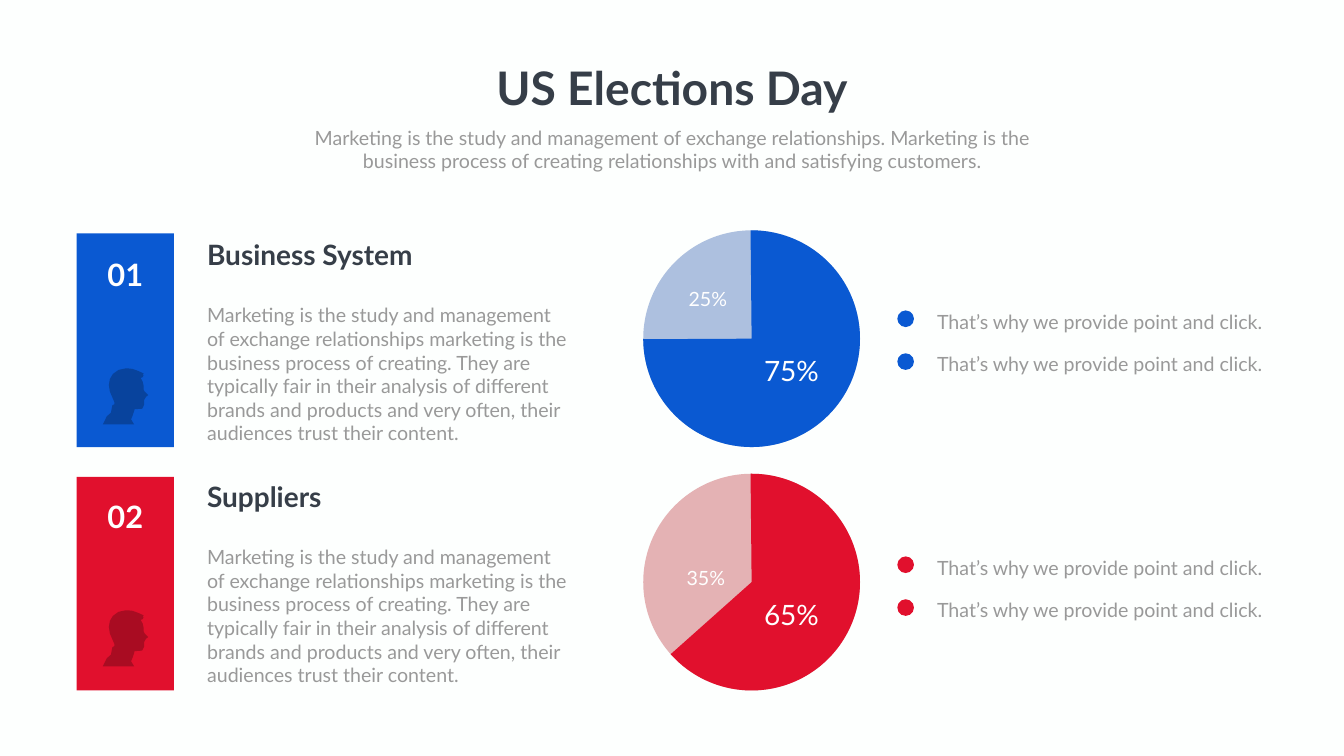
import pptx
import pptx.dml.color
import pptx.enum.shapes
import pptx.enum.text
import pptx.util
from pptx.util import Inches

FONT = "Lato"
DARK, GREY, WHITE = "363E48", "999999", "FFFFFF"
BODY = (
    "Marketing is the study and management of exchange relationships marketing is the "
    "business process of creating. They are typically fair in their analysis of different "
    "brands and products and very often, their audiences trust their content."
)
SUBTITLE = (
    "Marketing is the study and management of exchange relationships. Marketing is the "
    "business process of creating relationships with and satisfying customers."
)
LEGEND = "That’s why we provide point and click."
HEAD_OUTLINE = [
    (0.45, 0), (0.5, 0), (0.59, 0.01), (0.7, 0.05), (0.81, 0.1), (0.8, 0.12),
    (0.79, 0.13), (0.82, 0.15), (0.79, 0.14), (0.8, 0.17), (0.75, 0.19),
    (0.79, 0.26), (0.81, 0.35), (0.81, 0.42), (0.83, 0.46), (0.9, 0.53),
    (0.86, 0.56), (0.84, 0.59), (0.82, 0.63), (0.82, 0.68), (0.82, 0.72),
    (0.78, 0.8), (0.63, 0.81), (0.62, 0.85), (0.59, 0.94), (0.56, 1.01),
    (0.62, 1.11), (0, 1.11), (0.08, 0.95), (0.16, 0.88), (0.19, 0.73),
    (0.23, 0.71), (0.23, 0.67), (0.14, 0.46), (0.12, 0.33), (0.14, 0.21),
    (0.2, 0.11), (0.31, 0.03),
]
SECTIONS = [
    {"number": "01", "heading": "Business System", "color": "0A59D2", "pale": "ADC0DF",
     "shade": "08439D", "major": "75%", "minor": "25%", "end_angle": 179.7,
     "minor_at": (13.37, 5.52)},
    {"number": "02", "heading": "Suppliers", "color": "E1102D", "pale": "E4B2B4",
     "shade": "A90C22", "major": "65%", "minor": "35%", "end_angle": 138.3,
     "minor_at": (13.33, 11.04)},
]


def rgb(value):
    """Return the colour for a hex string."""
    return pptx.dml.color.RGBColor.from_string(value)


def paint(shape, color):
    """Give a shape a plain fill without line or shadow."""
    shape.shadow.inherit = False
    shape.fill.solid()
    shape.fill.fore_color.rgb = rgb(color)
    shape.line.fill.background()


def add_filled(slide, kind, left, top, width, height, color):
    """Add a plain filled preset shape."""
    shape = slide.shapes.add_shape(
        kind, Inches(left), Inches(top), Inches(width), Inches(height))
    paint(shape, color)
    return shape


def add_text(slide, text, left, top, width, height, size, color,
             bold=False, centered=False, spacing=None, wrap=True):
    """Add a text box holding one run."""
    box = slide.shapes.add_textbox(
        Inches(left), Inches(top), Inches(width), Inches(height))
    frame = box.text_frame
    frame.word_wrap = wrap
    frame.auto_size = pptx.enum.text.MSO_AUTO_SIZE.SHAPE_TO_FIT_TEXT
    paragraph = frame.paragraphs[0]
    if centered:
        paragraph.alignment = pptx.enum.text.PP_ALIGN.CENTER
    if spacing:
        paragraph.line_spacing = pptx.util.Pt(spacing)
    run = paragraph.add_run()
    run.text = text
    run.font.name = FONT
    run.font.size = pptx.util.Pt(size)
    run.font.bold = bold
    run.font.color.rgb = rgb(color)


def add_pie(slide, top, start_angle, end_angle, color):
    """Add a pie sector between two clockwise angles in degrees."""
    pie = add_filled(slide, pptx.enum.shapes.MSO_SHAPE.PIE, 12.76, top, 4.3, 4.3, color)
    for index, angle in enumerate((start_angle, end_angle)):
        pie.adjustments[index] = angle * 0.6


def add_head(slide, left, top, color):
    """Add the generic head silhouette."""
    points = [(Inches(left + x), Inches(top + y)) for x, y in HEAD_OUTLINE]
    builder = slide.shapes.build_freeform(*points[0])
    builder.add_line_segments(points[1:], close=True)
    paint(builder.convert_to_shape(), color)


def add_chart_part(slide, index, section):
    """Add the two pie sectors and their percentages."""
    top = 4.57 + 4.83 * index
    add_pie(slide, top, 269.94, 269.87, section["pale"])
    add_pie(slide, top, 269.44, section["end_angle"], section["color"])
    add_text(slide, section["major"], 15.03, top + 2.47, 1.34, 0.7, 40, WHITE,
             centered=True, spacing=43)
    add_text(slide, section["minor"], *section["minor_at"], 1.34, 0.64, 28, WHITE,
             centered=True, spacing=43)


def add_description(slide, index, section):
    """Add the numbered bar with its heading and body."""
    shift = 4.8 * index
    add_filled(slide, pptx.enum.shapes.MSO_SHAPE.RECTANGLE,
               1.52, 4.63 + 4.83 * index, 1.93, 4.24, section["color"])
    add_text(slide, section["heading"], 4.01, 4.66 + shift, 5.2, 0.77, 40, DARK, bold=True)
    add_text(slide, BODY, 4.01, 5.97 + shift, 7.35, 2.93, 28, GREY)
    add_text(slide, section["number"], 1.93, 5.02 + shift, 1.11, 0.84, 44, WHITE,
             bold=True, centered=True)
    add_head(slide, 2.04, 7.31 + shift, section["shade"])


def add_legend(slide, index, section):
    """Add the two dotted legend lines of a section."""
    for row in range(2):
        top = 5.97 + 4.88 * index
        add_filled(slide, pptx.enum.shapes.MSO_SHAPE.OVAL,
                   17.8, top + 0.19 + 0.85 * row, 0.33, 0.33, section["color"])
        add_text(slide, LEGEND, 18.49, top + 0.83 * row, 6.66, 0.64, 28, GREY, spacing=43)


def main():
    """Build the slide and save it."""
    presentation = pptx.Presentation()
    presentation.slide_width = Inches(26.66)
    presentation.slide_height = Inches(15)
    slide = presentation.slides.add_slide(presentation.slide_layouts[6])
    slide.background.fill.solid()
    slide.background.fill.fore_color.rgb = rgb("FDFFFE")
    add_text(slide, "US Elections Day", 9.69, 1.12, 7.28, 1.21, 66, DARK,
             bold=True, centered=True, wrap=False)
    add_text(slide, SUBTITLE, 5.47, 2.44, 15.72, 1.04, 28, GREY, centered=True)
    for index, section in enumerate(SECTIONS):
        add_chart_part(slide, index, section)
        add_description(slide, index, section)
        add_legend(slide, index, section)
    presentation.save("out.pptx")


if __name__ == "__main__":
    main()
